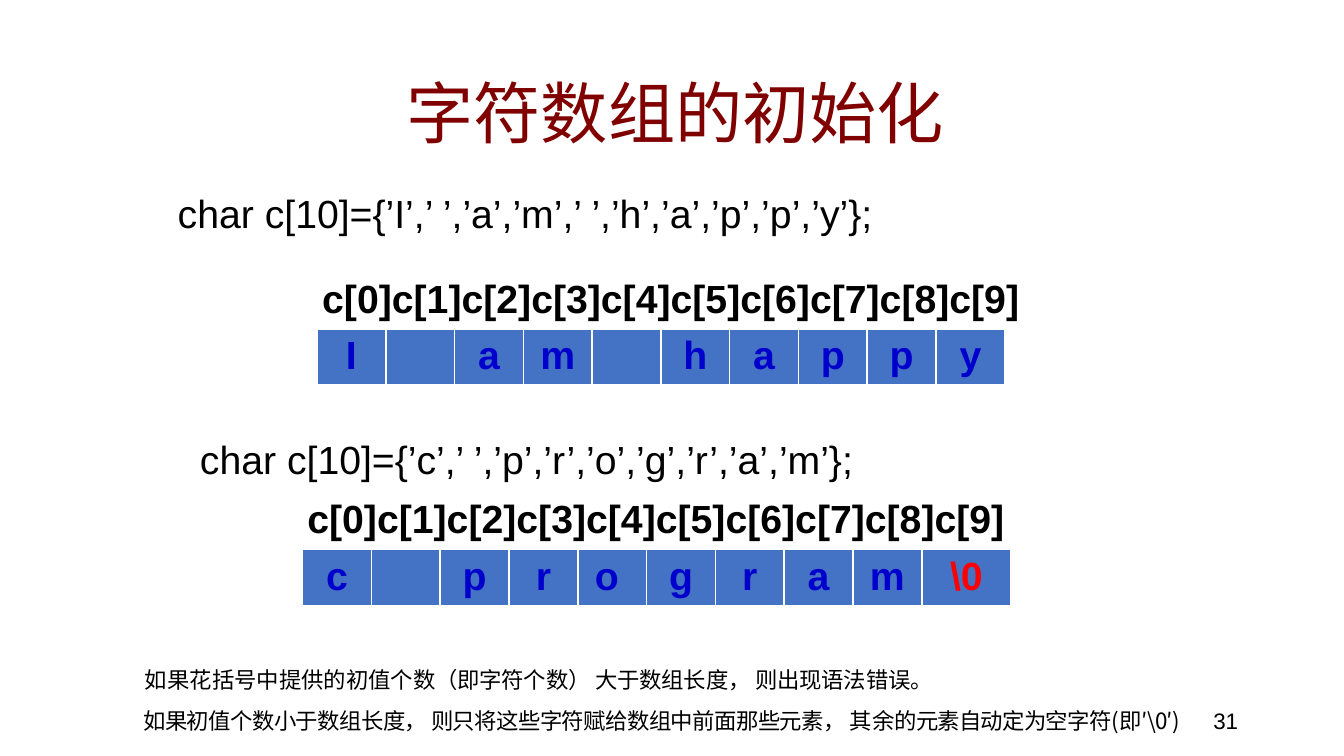
from dataclasses import dataclass

from lxml import etree
from pptx import Presentation
from pptx.dml.color import RGBColor
from pptx.enum.text import MSO_ANCHOR, PP_ALIGN
from pptx.oxml.ns import qn
from pptx.slide import Slide
from pptx.util import Cm, Pt

LEFT, CENTER, RIGHT = PP_ALIGN.LEFT, PP_ALIGN.CENTER, PP_ALIGN.RIGHT
TOP, MIDDLE = MSO_ANCHOR.TOP, MSO_ANCHOR.MIDDLE
LATIN, CHINESE = "Arial", "Noto Sans CJK SC"
COLORS = {
    "text": "000000",
    "title": "800000",
    "cell": "4472C4",
    "letter": "0000CC",
    "terminator": "FF0000",
    "border": "FFFFFF",
}
BORDERS = {"a:lnL": 1, "a:lnR": 1, "a:lnT": 1, "a:lnB": 3}
CELL_WIDTH, ROW_HEIGHT = 1.3, 1.06
NARROW, WIDE = (0.18, 0.1), (0.25, 0.13)
INDEX_LABEL = "".join(f"c[{index}]" for index in range(10))
TERMINATOR = "\\0"


@dataclass
class Span:
    text: str
    spacing: float = 0


@dataclass
class Line:
    spans: list[Span]
    indent: float = 0
    before: float = 0


@dataclass
class TextBlock:
    left: float
    top: float
    width: float
    height: float
    lines: list[Line]
    size: float
    color: str = "text"
    font: str = LATIN
    bold: bool = False
    align: int = LEFT
    anchor: int = TOP
    insets: tuple[float, float] = WIDE
    line_spacing: float = 1.0


@dataclass
class CharacterArray:
    left: float
    top: float
    letters: list[str]
    last_width: float
    label_left: float
    label_top: float


def plain(text: str, indent: float = 0, before: float = 0) -> Line:
    """Return a line made of one span."""
    return Line([Span(text)], indent, before)


def style_run(run, size: float, color: str, font: str, bold: bool) -> None:
    """Set the size, colour and typefaces of a run."""
    run.font.size = Pt(size)
    run.font.bold = bold
    run.font.color.rgb = RGBColor.from_string(COLORS[color])
    run.font.name = font
    east_asian = etree.SubElement(run.font._element, qn("a:ea"))
    east_asian.set("typeface", CHINESE)


def draw_text(page: Slide, block: TextBlock) -> None:
    """Draw a text box with its lines."""
    box = page.shapes.add_textbox(
        Cm(block.left), Cm(block.top), Cm(block.width), Cm(block.height)
    )
    frame = box.text_frame
    frame.word_wrap = True
    frame.vertical_anchor = block.anchor
    frame.margin_left = frame.margin_right = Cm(block.insets[0])
    frame.margin_top = frame.margin_bottom = Cm(block.insets[1])
    for number, line in enumerate(block.lines):
        para = frame.add_paragraph() if number else frame.paragraphs[0]
        para.alignment = block.align
        para.line_spacing = block.line_spacing
        if line.before:
            para.space_before = Pt(line.before)
        if line.indent:
            para._p.get_or_add_pPr().set("marL", str(Cm(line.indent)))
        for span in line.spans:
            run = para.add_run()
            run.text = span.text
            style_run(run, block.size, block.color, block.font, block.bold)
            if span.spacing:
                run.font._element.set("spc", str(round(span.spacing * 100)))


def add_borders(cell) -> None:
    """Give a table cell its white borders."""
    properties = cell._tc.get_or_add_tcPr()
    for position, (tag, width) in enumerate(BORDERS.items()):
        border = etree.Element(qn(tag), w=str(Pt(width)))
        fill = etree.SubElement(border, qn("a:solidFill"))
        etree.SubElement(fill, qn("a:srgbClr"), val=COLORS["border"])
        properties.insert(position, border)


def draw_array(page: Slide, array: CharacterArray) -> None:
    """Draw the index label and the one-row table of an array."""
    widths = [CELL_WIDTH] * (len(array.letters) - 1) + [array.last_width]
    table = page.shapes.add_table(
        1, len(widths), Cm(array.left), Cm(array.top), Cm(sum(widths)), Cm(ROW_HEIGHT)
    ).table
    table.first_row = table.horz_banding = False
    for column, width in zip(table.columns, widths):
        column.width = Cm(width)
    for cell, letter in zip(table.rows[0].cells, array.letters):
        cell.fill.solid()
        cell.fill.fore_color.rgb = RGBColor.from_string(COLORS["cell"])
        cell.margin_left = cell.margin_right = Cm(NARROW[0])
        cell.margin_top = cell.margin_bottom = Cm(NARROW[1])
        add_borders(cell)
        if letter:
            para = cell.text_frame.paragraphs[0]
            para.text = letter
            para.alignment = CENTER
            color = "terminator" if letter == TERMINATOR else "letter"
            style_run(para.runs[0], 21, color, LATIN, True)
    label = TextBlock(
        array.label_left, array.label_top, 14, 1.14, [plain(INDEX_LABEL)], 21, bold=True
    )
    draw_text(page, label)


CODE = TextBlock(
    3.18, 3.58, 19.05, 5.82,
    [
        plain("char c[10]={’I’,’ ’,’a’,’m’,’ ’,’h’,’a’,’p’,’p’,’y’};"),
        plain("char c[10]={’c’,’ ’,’p’,’r’,’o’,’g’,’r’,’a’,’m’};", 0.42, 109),
    ],
    21, insets=NARROW, line_spacing=0.9,
)
TITLE = TextBlock(
    3.76, 1.24, 18.01, 1.73, [plain("字符数组的初始化")], 36, "title",
    align=CENTER, anchor=MIDDLE, insets=NARROW,
)
NOTES = TextBlock(
    2.46, 12.19, 20.98, 1.27,
    [
        Line(
            [
                Span("如果花括号中提供的"),
                Span("初值个数（即字符个数） 大于数组长度， 则出现语法错误。", -0.1),
            ],
            indent=0.03,
        ),
        Line(
            [
                Span("如果初值个数小于数组长度， 则只将这些字符赋给数组中前面那些元素， 其", -0.3),
                Span("余的元素自动定为空字符(即′\\0′)", -0.4),
            ]
        ),
    ],
    12, font=CHINESE, line_spacing=Pt(22),
)
PAGE_NUMBER = TextBlock(17.93, 13.23, 5.72, 0.76, [plain("31")], 12, align=RIGHT)
ARRAYS = [
    CharacterArray(
        5.99, 6.22, ["I", "", "a", "m", "", "h", "a", "p", "p", "y"], CELL_WIDTH, 5.84, 5.05
    ),
    CharacterArray(
        5.72, 10.39, ["c", "", "p", "r", "o ", "g", "r", "a", "m", TERMINATOR], 1.69, 5.56, 9.22
    ),
]


def main() -> None:
    """Build the slide and save the deck."""
    deck = Presentation()
    deck.slide_width, deck.slide_height = Cm(25.4), Cm(14.29)
    page = deck.slides.add_slide(deck.slide_layouts[6])
    for block in (CODE, TITLE):
        draw_text(page, block)
    for array in ARRAYS:
        draw_array(page, array)
    for block in (NOTES, PAGE_NUMBER):
        draw_text(page, block)
    deck.save("out.pptx")


if __name__ == "__main__":
    main()
